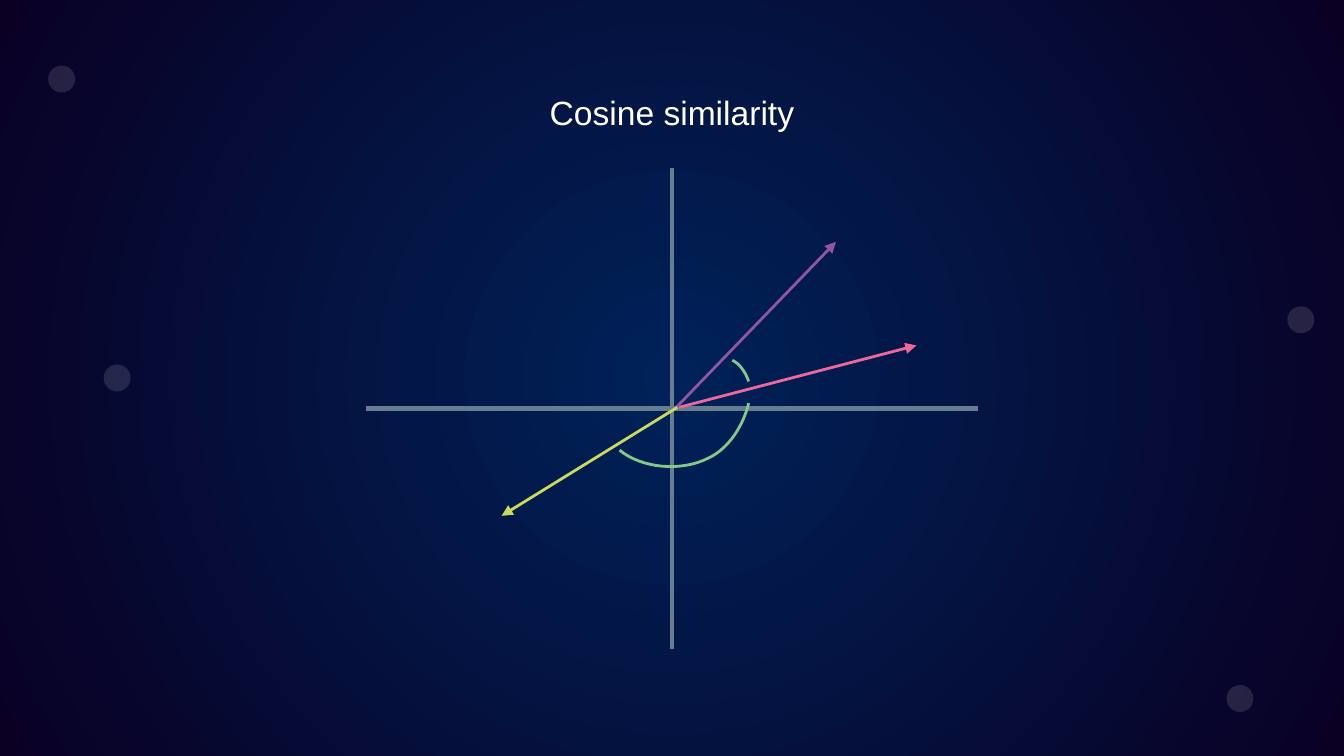
"""Build a slide that explains cosine similarity with three vectors on two axes."""
from dataclasses import dataclass

from lxml import etree
from pptx import Presentation
from pptx import util as u
from pptx.dml.color import RGBColor
from pptx.enum import shapes, text
from pptx.oxml.ns import qn

WHITE, AXIS, ARC = "FFFFFF", "657E93", "83C88D"
DOT_SIZE = 0.51
Point = tuple[float, float]


@dataclass
class Line:
    start: Point
    end: Point
    color: str
    width: float
    arrow: bool = False


@dataclass
class Arc:
    start: Point
    curves: list[tuple[Point, Point, Point]]


DOTS = [(1.96, 6.89), (0.91, 1.24), (23.18, 12.95), (24.33, 5.79)]
LINES = [
    Line((12.7, 3.18), (12.7, 12.27), AXIS, 2.25),
    Line((6.91, 7.72), (18.49, 7.72), AXIS, 2.25),
    Line((12.83, 7.7), (17.32, 6.53), "EF679B", 1.5, True),
    Line((12.78, 7.7), (15.8, 4.57), "9255A1", 1.5, True),
    Line((12.8, 7.7), (9.48, 9.75), "CADA5E", 1.5, True),
]
ARCS = [
    Arc((11.71, 8.51), [((12.14, 8.86), (12.88, 8.92), (13.39, 8.66)),
                        ((13.77, 8.48), (14.05, 8.05), (14.15, 7.62))]),
    Arc((13.84, 6.81), [((13.99, 6.88), (14.1, 7.06), (14.15, 7.21))]),
]


def rgb(value: str) -> RGBColor:
    return RGBColor.from_string(value)


def paint_background(s) -> None:
    fill = s.background.fill
    fill.gradient()
    for stop, color, position in zip(fill.gradient_stops, ("002258", "090024"), (0, 1)):
        stop.color.rgb = rgb(color)
        stop.position = position
    grad = s.element.find(".//" + qn("a:gradFill"))
    grad.remove(grad.find(qn("a:lin")))
    circle = etree.SubElement(grad, qn("a:path"), path="circle")
    etree.SubElement(circle, qn("a:fillToRect"), dict.fromkeys("ltrb", "50000"))


def add_dot(s, at: Point) -> None:
    sp = s.shapes.add_shape(shapes.MSO_SHAPE.OVAL, *map(u.Cm, (*at, DOT_SIZE, DOT_SIZE)))
    sp.shadow.inherit = False
    sp.fill.solid()
    sp.fill.fore_color.rgb = rgb(WHITE)
    sp.line.fill.background()
    color = sp.element.spPr.find(".//" + qn("a:srgbClr"))
    etree.SubElement(color, qn("a:alpha"), val="12000")


def add_title(s, title: str) -> None:
    tf = s.shapes.add_textbox(*map(u.Cm, (3.57, 1.49, 18.26, 1.19))).text_frame
    frame = {"word_wrap": True, "vertical_anchor": text.MSO_ANCHOR.TOP}
    frame |= {f"margin_{side}": u.Cm(0.25) for side in ("left", "top", "right", "bottom")}
    for name, value in frame.items():
        setattr(tf, name, value)
    p = tf.paragraphs[0]
    p.alignment = text.PP_ALIGN.CENTER
    r = p.add_run()
    r.text = title
    for name, value in {"name": "Arial", "size": u.Pt(18)}.items():
        setattr(r.font, name, value)
    r.font.color.rgb = rgb(WHITE)


def style_line(sp, color: str, width: float) -> None:
    sp.line.color.rgb = rgb(color)
    sp.line.width = u.Pt(width)


def add_line(s, line: Line) -> None:
    cxn = s.shapes.add_connector(
        shapes.MSO_CONNECTOR.STRAIGHT, *map(u.Cm, line.start + line.end))
    style_line(cxn, line.color, line.width)
    if line.arrow:
        ln = cxn.element.spPr.find(qn("a:ln"))
        etree.SubElement(ln, qn("a:tailEnd"), type="triangle")
    etree.SubElement(cxn.element.spPr, qn("a:effectLst"))


def bezier(points: tuple[Point, ...], t: float) -> Point:
    weights = ((1 - t) ** 3, 3 * t * (1 - t) ** 2, 3 * t * t * (1 - t), t ** 3)
    x, y = (sum(w * v for w, v in zip(weights, axis)) for axis in zip(*points))
    return x, y


def add_arc(s, arc: Arc, steps: int = 16) -> None:
    vertices, start = [arc.start], arc.start
    for curve in arc.curves:
        vertices += [bezier((start, *curve), i / steps) for i in range(1, steps + 1)]
        start = curve[-1]
    first, *rest = [(u.Cm(x), u.Cm(y)) for x, y in vertices]
    builder = s.shapes.build_freeform(*first)
    builder.add_line_segments(rest, close=False)
    sp = builder.convert_to_shape()
    sp.shadow.inherit = False
    sp.fill.background()
    style_line(sp, ARC, 1.5)


def main() -> None:
    prs = Presentation()
    prs.slide_width, prs.slide_height = u.Cm(25.4), u.Cm(14.29)
    s = prs.slides.add_slide(prs.slide_layouts[6])
    paint_background(s)
    for dot in DOTS:
        add_dot(s, dot)
    add_title(s, "Cosine similarity")
    for line in LINES:
        add_line(s, line)
    for arc in ARCS:
        add_arc(s, arc)
    prs.save("out.pptx")


if __name__ == "__main__":
    main()
